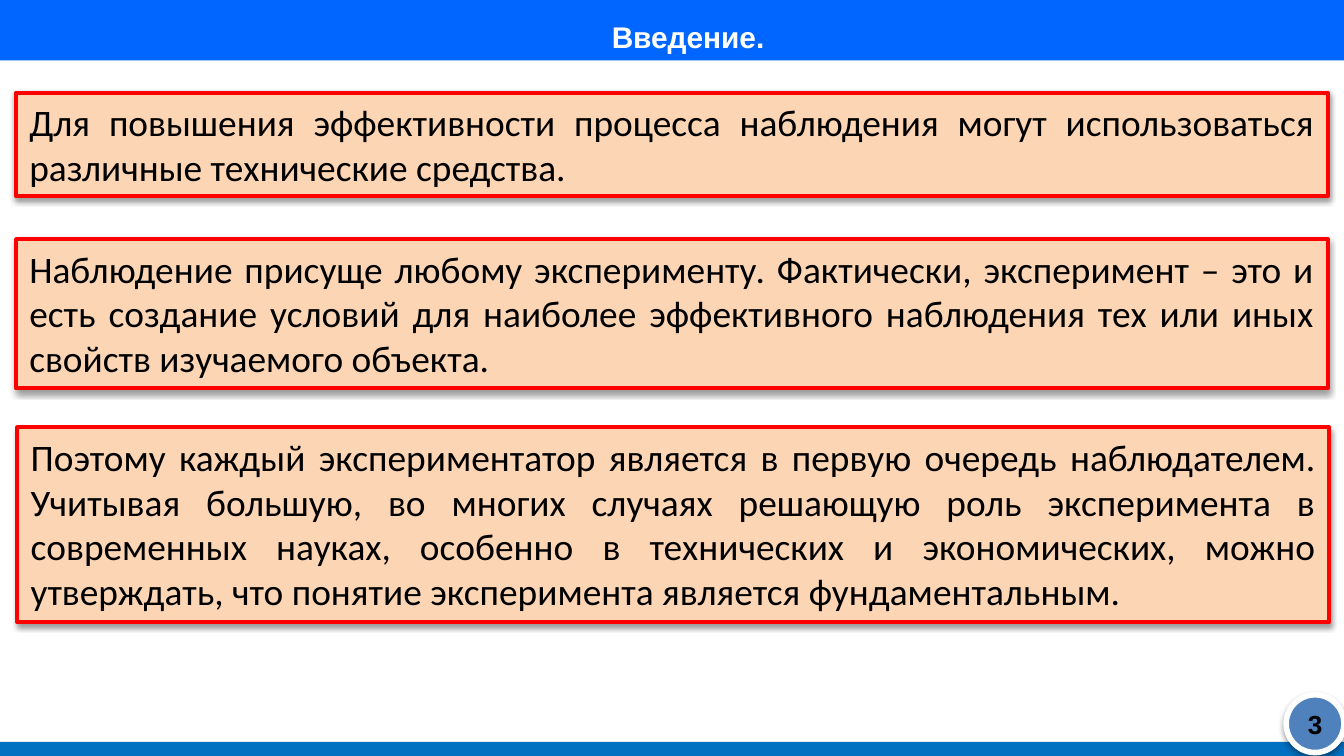
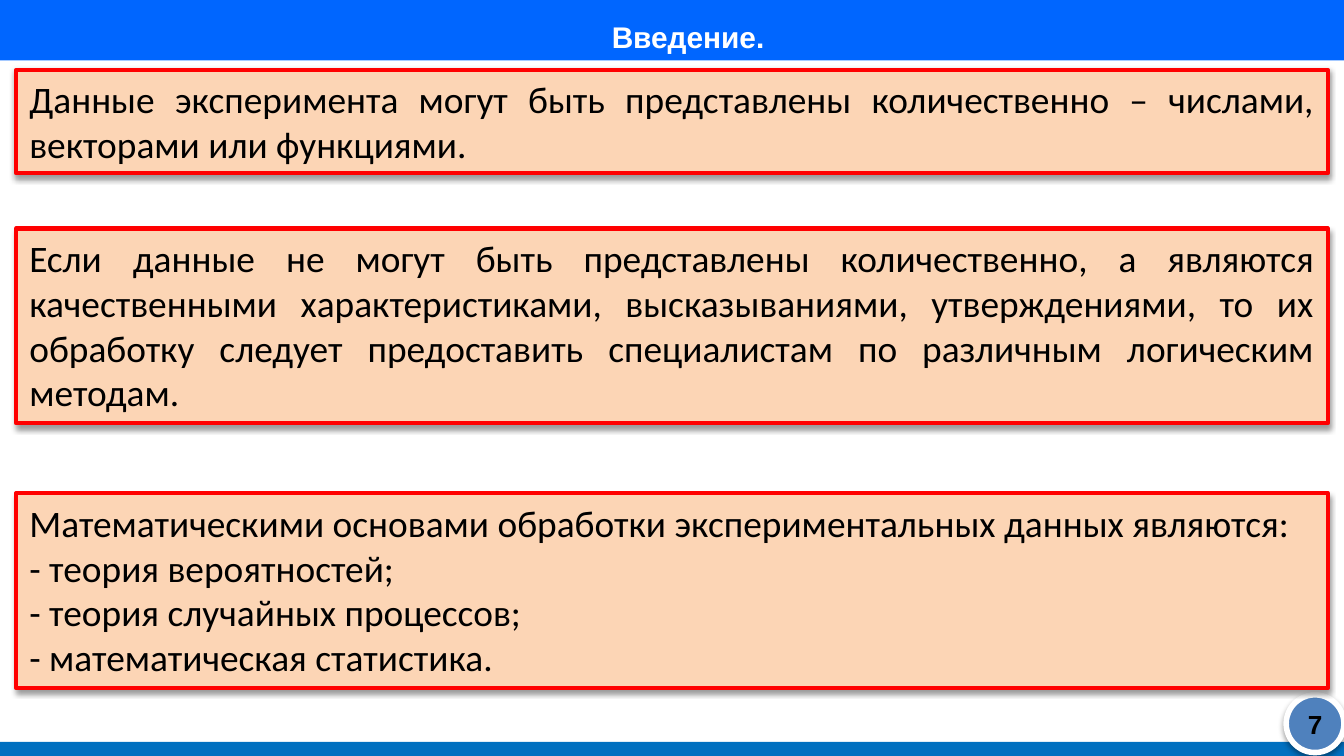
from dataclasses import dataclass

import pptx
import pptx.dml.color
import pptx.enum.shapes
import pptx.enum.text
import pptx.oxml
import pptx.oxml.ns
import pptx.util
from lxml import etree

Inches = pptx.util.Inches
Pt = pptx.util.Pt
RGB = pptx.dml.color.RGBColor
PRESET = pptx.enum.shapes.MSO_SHAPE
ALIGN = pptx.enum.text.PP_ALIGN
ANCHOR = pptx.enum.text.MSO_ANCHOR
AUTO_SIZE = pptx.enum.text.MSO_AUTO_SIZE
qn = pptx.oxml.ns.qn


@dataclass(frozen=True)
class Theme:
    header: str = "0066FF"
    footer: str = "0070C0"
    badge: str = "4F81BD"
    panel: str = "FCD5B5"
    border: str = "FF0000"
    light: str = "FFFFFF"
    dark: str = "000000"
    heading_font: str = "Arial"
    body_font: str = "Calibri"
    title_size: int = 16
    number_size: int = 14
    body_size: int = 20
    panel_line: float = 2.25
    badge_line: float = 3


@dataclass(frozen=True)
class Box:
    left: float
    top: float
    width: float
    height: float

    def lengths(self) -> tuple:
        return tuple(Inches(v) for v in (self.left, self.top, self.width, self.height))


@dataclass(frozen=True)
class Panel:
    top: float
    height: float
    text: str
    left: float = 0.12
    width: float = 9.76


@dataclass(frozen=True)
class Page:
    number: int
    panels: tuple[Panel, ...]


THEME = Theme()
PAGE_WIDTH = 10
PAGE_HEIGHT = PAGE_WIDTH * 9 / 16
TITLE = "Введение."
HEADER_BOX = Box(0, 0, PAGE_WIDTH, 0.45)
TITLE_BOX = Box(0.77, -0.02, 8.48, 0.47)
FOOTER_BOX = Box(0, 5.52, PAGE_WIDTH, 0.11)
BADGE_BOX = Box(9.57, 5.17, 0.43, 0.43)
NUMBER_BOX = Box(9.57, 5.24, 0.43, 0.3)

PAGES = (
    Page(3, (
        Panel(0.69, 0.77,
              "Для повышения эффективности процесса наблюдения могут "
              "использоваться различные технические средства."),
        Panel(1.78, 1.11,
              "Наблюдение присуще любому эксперименту. Фактически, эксперимент – "
              "это и есть создание условий для наиболее эффективного наблюдения "
              "тех или иных свойств изучаемого объекта."),
        Panel(3.18, 1.45,
              "Поэтому каждый экспериментатор является в первую очередь "
              "наблюдателем. Учитывая большую, во многих случаях решающую роль "
              "эксперимента в современных науках, особенно в технических и "
              "экономических, можно утверждать, что понятие эксперимента "
              "является фундаментальным.", left=0.13),
    )),
    Page(7, (
        Panel(0.52, 0.77,
              "Данные эксперимента могут быть представлены количественно – "
              "числами, векторами или функциями."),
        Panel(1.7, 1.45,
              "Если данные не могут быть представлены количественно, а являются "
              "качественными характеристиками, высказываниями, утверждениями, то "
              "их обработку следует предоставить специалистам по различным "
              "логическим методам."),
        Panel(3.67, 1.45,
              "Математическими основами обработки экспериментальных данных являются:\n"
              "- теория вероятностей;\n"
              "- теория случайных процессов;\n"
              "- математическая статистика."),
    )),
)


def add_shadow(shape) -> None:
    effects = shape._element.spPr.find(qn("a:effectLst"))
    shadow = etree.SubElement(effects, qn("a:outerShdw"), blurRad=str(Pt(3.1)),
                              dist=str(Pt(1.6)), dir="5400000", rotWithShape="0")
    color = etree.SubElement(shadow, qn("a:srgbClr"), val=THEME.dark)
    etree.SubElement(color, qn("a:alpha"), val="38000")


def add_filled(slide, preset, box: Box, fill: str,
               line: str | None = None, line_width: float = 0):
    shape = slide.shapes.add_shape(preset, *box.lengths())
    shape.fill.solid()
    shape.fill.fore_color.rgb = RGB.from_string(fill)
    shape.shadow.inherit = False
    if line is None:
        shape.line.fill.background()
    else:
        shape.line.color.rgb = RGB.from_string(line)
        shape.line.width = Pt(line_width)
        add_shadow(shape)
    return shape


def write(frame, text: str, font: str, size: int, color: str, align, bold: bool = False) -> None:
    frame.text = text
    frame.word_wrap = True
    for paragraph in frame.paragraphs:
        paragraph.alignment = align
        for run in paragraph.runs:
            run.font.name = font
            run.font.size = Pt(size)
            run.font.bold = bold
            run.font.color.rgb = RGB.from_string(color)


def add_header(slide) -> None:
    band = add_filled(slide, PRESET.RECTANGLE, HEADER_BOX, THEME.header)
    heading = slide.shapes.title
    heading._element.addprevious(band._element)
    heading.left, heading.top, heading.width, heading.height = TITLE_BOX.lengths()
    frame = heading.text_frame
    write(frame, TITLE, THEME.heading_font, THEME.title_size, THEME.light, ALIGN.CENTER, bold=True)
    frame.auto_size = AUTO_SIZE.NONE
    frame.vertical_anchor = ANCHOR.TOP
    frame.margin_left = Inches(0.32)
    frame.margin_top = Inches(0.16)
    frame.margin_bottom = 0


def add_footer(slide, number: int) -> None:
    add_filled(slide, PRESET.RECTANGLE, FOOTER_BOX, THEME.footer)
    add_filled(slide, PRESET.OVAL, BADGE_BOX, THEME.badge, THEME.light, THEME.badge_line)
    frame = slide.shapes.add_textbox(*NUMBER_BOX.lengths()).text_frame
    write(frame, str(number), THEME.heading_font, THEME.number_size, THEME.dark,
          ALIGN.CENTER, bold=True)
    frame.vertical_anchor = ANCHOR.MIDDLE


def add_panel(slide, panel: Panel) -> None:
    box = Box(panel.left, panel.top, panel.width, panel.height)
    frame = add_filled(slide, PRESET.RECTANGLE, box, THEME.panel,
                       THEME.border, THEME.panel_line).text_frame
    write(frame, panel.text, THEME.body_font, THEME.body_size, THEME.dark, ALIGN.JUSTIFY)
    frame.vertical_anchor = ANCHOR.TOP
    frame.auto_size = AUTO_SIZE.SHAPE_TO_FIT_TEXT


def main() -> None:
    deck = pptx.Presentation()
    deck.slide_width = Inches(PAGE_WIDTH)
    deck.slide_height = Inches(PAGE_HEIGHT)
    title_only = deck.slide_layouts.get_by_name("Title Only")
    for page in PAGES:
        slide = deck.slides.add_slide(title_only)
        add_header(slide)
        add_footer(slide, page.number)
        for panel in page.panels:
            add_panel(slide, panel)
    deck.save("out.pptx")


if __name__ == "__main__":
    main()
